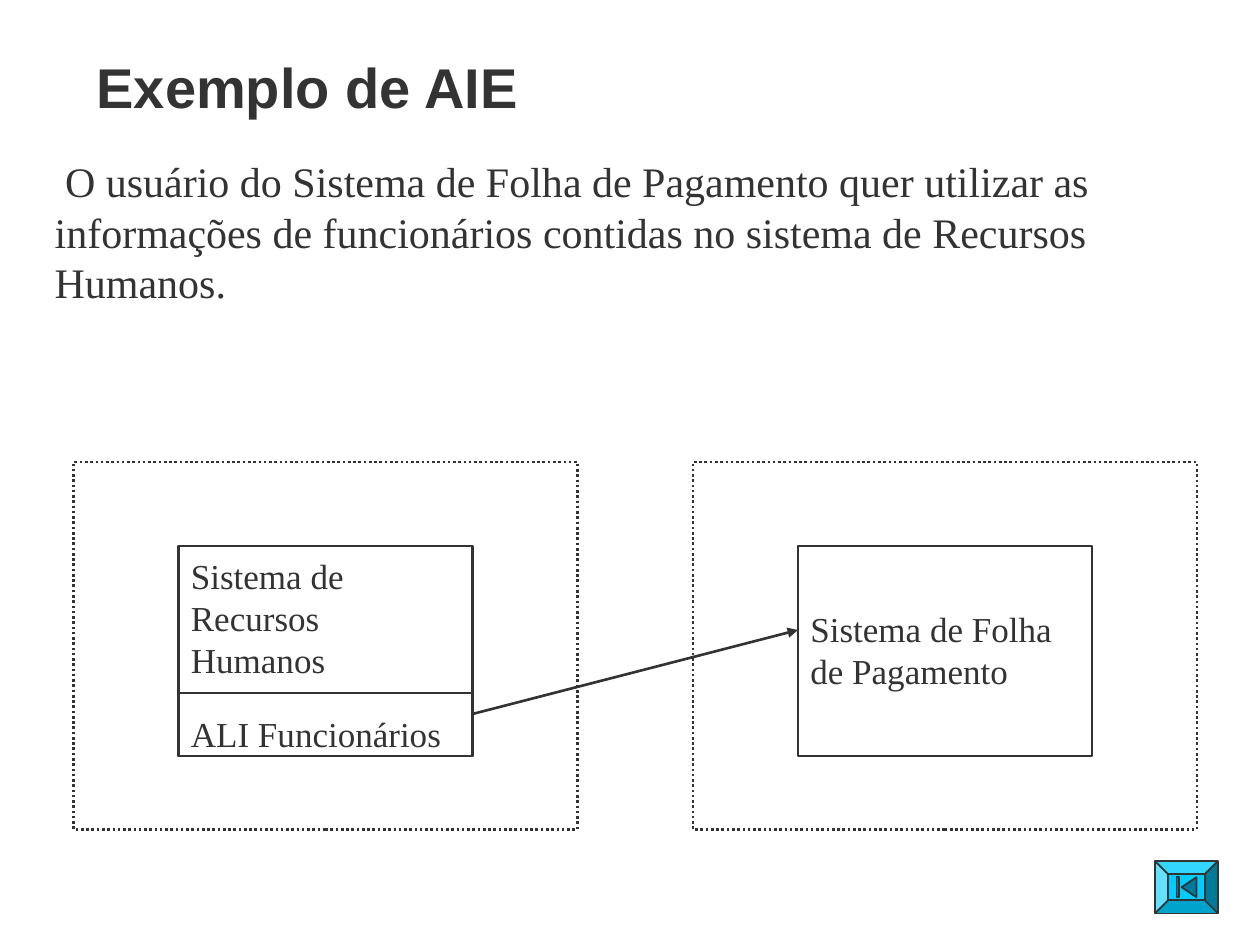
from dataclasses import dataclass

from lxml import etree
from pptx import Presentation
from pptx.dml.color import RGBColor
from pptx.enum.dml import MSO_LINE
from pptx.enum.shapes import MSO_CONNECTOR, MSO_SHAPE
from pptx.enum.text import MSO_ANCHOR, MSO_AUTO_SIZE, PP_ALIGN
from pptx.oxml.ns import qn
from pptx.util import Pt

RECTANGLE = MSO_SHAPE.RECTANGLE
BEVEL = MSO_SHAPE.BEVEL
STRAIGHT = MSO_CONNECTOR.STRAIGHT
DOTTED = MSO_LINE.ROUND_DOT
TOP, BOTTOM = MSO_ANCHOR.TOP, MSO_ANCHOR.BOTTOM
LEFT = PP_ALIGN.LEFT
NO_AUTOFIT = MSO_AUTO_SIZE.NONE


@dataclass(frozen=True)
class Theme:
    ink: RGBColor = RGBColor(0x33, 0x33, 0x33)
    button: RGBColor = RGBColor(0x00, 0xCC, 0xFF)
    icon: RGBColor = RGBColor(0x00, 0x7A, 0x99)
    title_font: str = "Arial"
    body_font: str = "Times New Roman"
    title_size: int = 32
    body_size: int = 24
    label_size: int = 20
    line_factor: float = 1.2
    text_top: float = 5
    line_width: float = 1.5
    button_line: float = 1


class SlideBuilder:
    def __init__(self, page, theme):
        self.page = page
        self.theme = theme

    def place(self, shape, left, top, width, height):
        shape.left, shape.top = Pt(left), Pt(top)
        shape.width, shape.height = Pt(width), Pt(height)

    def set_text(self, shape, text, font, size, bold=False, anchor=TOP):
        frame = shape.text_frame
        frame.text = text
        frame.word_wrap = True
        frame.auto_size = NO_AUTOFIT
        frame.vertical_anchor = anchor
        para = frame.paragraphs[0]
        para.alignment = LEFT
        para.space_before = Pt(0)
        para.font.name = font
        para.font.size = Pt(size)
        para.font.bold = bold
        para.font.color.rgb = self.theme.ink
        return para

    def set_serif_text(self, shape, text, size):
        para = self.set_text(shape, text, self.theme.body_font, size)
        para.line_spacing = Pt(size * self.theme.line_factor)
        shape.text_frame.margin_top = Pt(self.theme.text_top)
        return para

    def title(self, text, *bounds):
        shape = self.page.shapes.title
        self.place(shape, *bounds)
        self.set_text(shape, text, self.theme.title_font, self.theme.title_size, True, BOTTOM)

    def body(self, text, *bounds):
        shape = self.page.placeholders[1]
        self.place(shape, *bounds)
        para = self.set_serif_text(shape, text, self.theme.body_size)
        properties = para._p.get_or_add_pPr()
        properties.set("marL", "0")
        properties.set("indent", "0")
        bullet = etree.Element(qn("a:buNone"))
        properties.find(qn("a:defRPr")).addprevious(bullet)

    def label(self, text, *bounds):
        shape = self.page.shapes.add_textbox(*map(Pt, bounds))
        self.set_serif_text(shape, text, self.theme.label_size)

    def outline(self, shape, width):
        shape.line.color.rgb = self.theme.ink
        shape.line.width = Pt(width)

    def box(self, left, top, width, height, dash=None):
        shape = self.page.shapes.add_shape(RECTANGLE, Pt(left), Pt(top), Pt(width), Pt(height))
        shape.shadow.inherit = False
        shape.fill.background()
        self.outline(shape, self.theme.line_width)
        if dash:
            shape.line.dash_style = dash

    def arrow(self, start_x, start_y, end_x, end_y):
        line = self.page.shapes.add_connector(
            STRAIGHT, Pt(start_x), Pt(start_y), Pt(end_x), Pt(end_y)
        )
        self.outline(line, self.theme.line_width)
        properties = line._element.spPr
        etree.SubElement(properties.find(qn("a:ln")), qn("a:tailEnd"), type="triangle")
        etree.SubElement(properties, qn("a:effectLst"))

    def paint(self, shape, color):
        shape.shadow.inherit = False
        shape.fill.solid()
        shape.fill.fore_color.rgb = color
        self.outline(shape, self.theme.button_line)

    def back_button(self, left, top, width, height):
        shapes = self.page.shapes
        frame = shapes.add_shape(BEVEL, Pt(left), Pt(top), Pt(width), Pt(height))
        frame.adjustments[0] = 0.25
        self.paint(frame, self.theme.button)
        middle_x, middle_y = left + width / 2, top + height / 2
        reach = 5.75
        outline = shapes.build_freeform(Pt(middle_x - 2.75), Pt(middle_y))
        outline.add_line_segments(
            [(Pt(middle_x + reach), Pt(middle_y + side * reach)) for side in (-1, 1)]
        )
        bar = shapes.add_shape(
            RECTANGLE, Pt(middle_x - reach), Pt(middle_y - reach), Pt(1.5), Pt(2 * reach)
        )
        for part in (outline.convert_to_shape(), bar):
            self.paint(part, self.theme.icon)


def main():
    deck = Presentation()
    deck.slide_width, deck.slide_height = Pt(720), Pt(540)
    page = deck.slides.add_slide(deck.slide_layouts[1])
    builder = SlideBuilder(page, Theme())

    builder.title("Exemplo de AIE", 48, 18, 612, 54)
    builder.body(
        " O usuário do Sistema de Folha de Pagamento quer utilizar as informações "
        "de funcionários contidas no sistema de Recursos Humanos.",
        24, 84, 672, 162,
    )

    system_top, system_width, system_height = 312, 168, 120
    human_resources, payroll = 102, 456
    for system_left in (human_resources, payroll):
        builder.box(system_left - 60, system_top - 48, 288, 210, DOTTED)
        builder.box(system_left, system_top, system_width, system_height)

    file_top = system_top + 84
    builder.box(human_resources, file_top, system_width, 36)
    builder.label(
        "Sistema de Recursos Humanos", human_resources, system_top, system_width, system_height
    )
    builder.label("ALI Funcionários", human_resources, file_top + 6, system_width, 30)
    builder.label("Sistema de Folha de Pagamento", payroll, system_top + 30, system_width, 54)
    builder.arrow(human_resources + system_width, file_top + 12, payroll, system_top + 48)
    builder.back_button(660, 492, 36, 30)
    deck.save("out.pptx")


if __name__ == "__main__":
    main()
